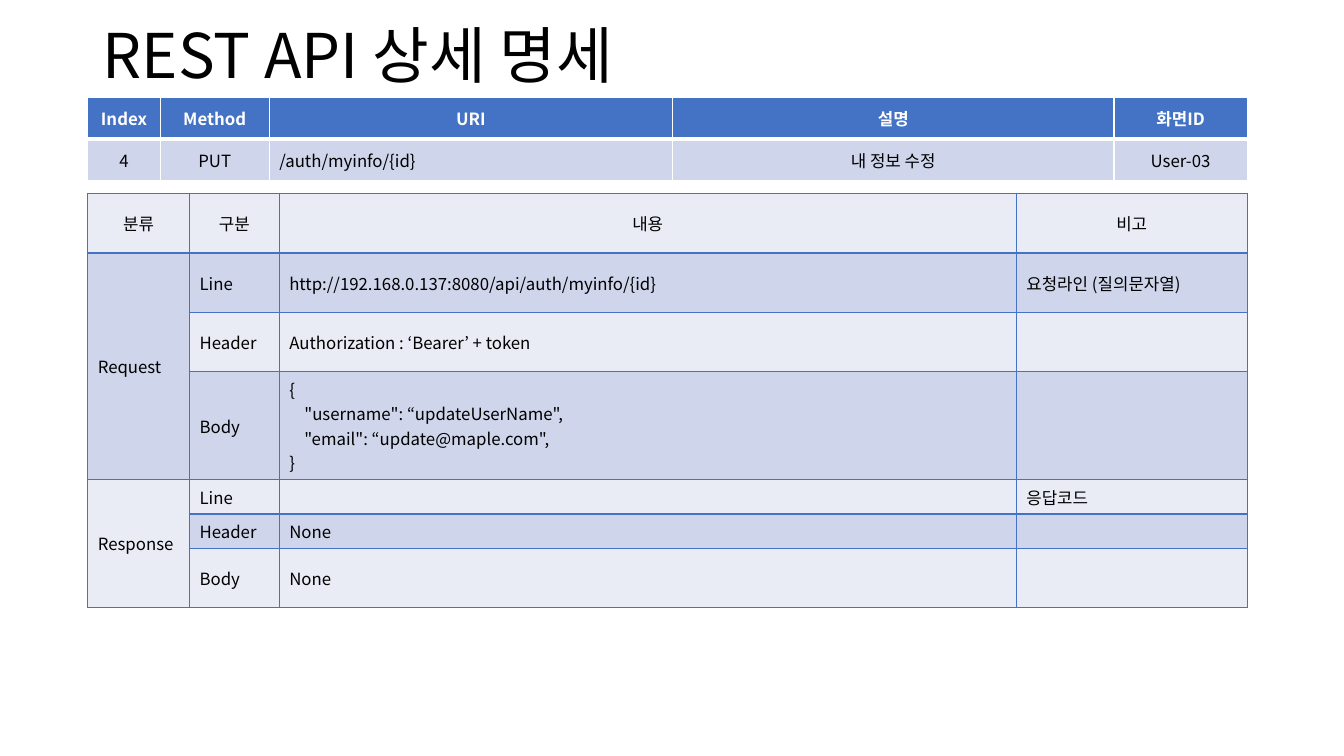
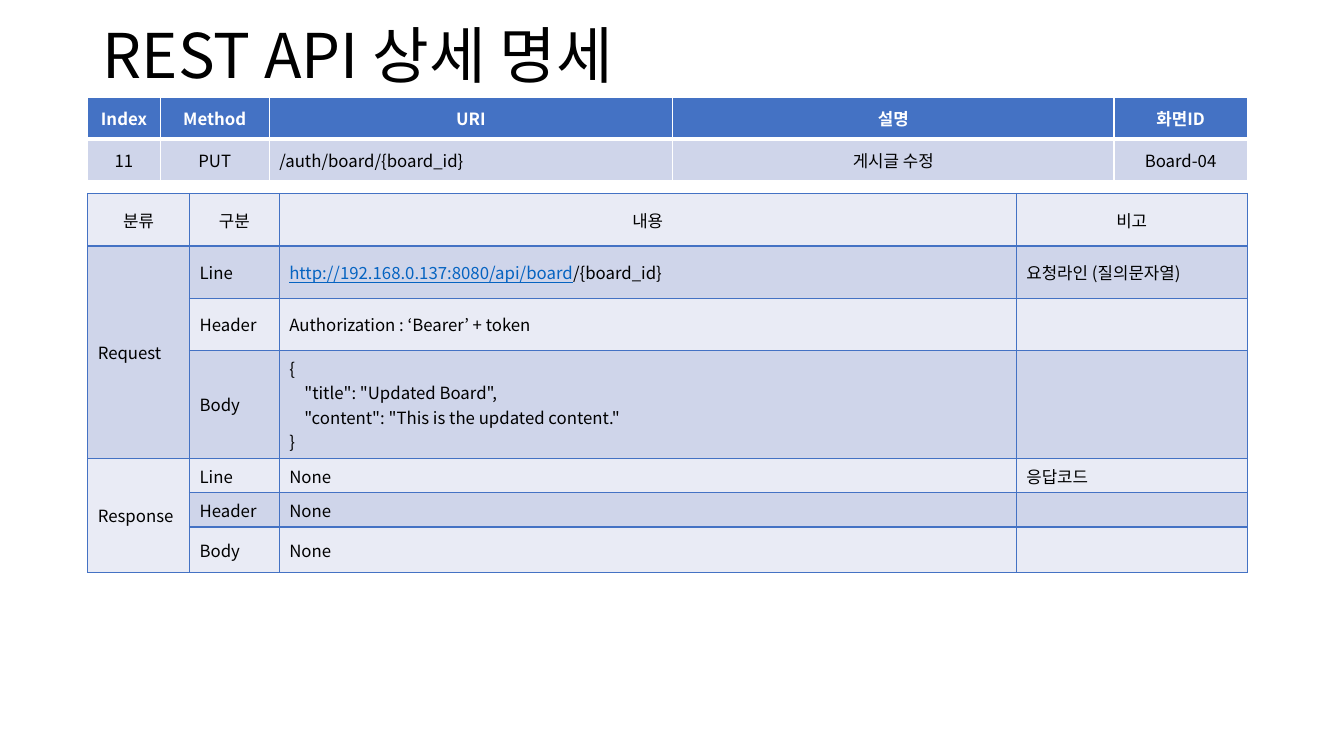
"""Builds two REST API specification slides, each with a summary and a detail table."""
from lxml import etree
from pptx import Presentation
from pptx.dml.color import RGBColor
from pptx.enum import text
from pptx.oxml import ns
from pptx.util import Inches, Pt

FONT = "Noto Sans CJK KR"
BLACK = RGBColor(0x00, 0x00, 0x00)
WHITE = RGBColor(0xFF, 0xFF, 0xFF)
BLUE = RGBColor(0x44, 0x72, 0xC4)
BAND_DARK = RGBColor(0xCF, 0xD5, 0xEA)
BAND_LIGHT = RGBColor(0xE9, 0xEB, 0xF5)
LINK = RGBColor(0x05, 0x63, 0xC1)

TITLE = "REST API 상세 명세"
LEFT, WIDTH = 0.87, 11.5
BODY_SIZE = 12
SUMMARY_COLUMNS = [0.72, 1.08, 4, 4.38, 1.32]
SUMMARY_HEAD = ["Index", "Method", "URI", "설명", "화면ID"]
SUMMARY_ROWS = [0.41, 0.41]
DETAIL_COLUMNS = [1.01, 0.89, 7.31, 2.29]
DETAIL_HEAD = ["분류", "구분", "내용", "비고"]
PARTS = ["Line", "Header", "Body"]
CENTER, START = text.PP_ALIGN.CENTER, text.PP_ALIGN.LEFT

ENDPOINTS = [
    {
        "summary": ["4", "PUT", "/auth/myinfo/{id}", "내 정보 수정", "User-03"],
        "request_line": [("http://192.168.0.137:8080/api/auth/myinfo/{id}", False)],
        "request_body": "{\n    \"username\": “updateUserName\",\n"
                        "    \"email\": “update@maple.com\",\n}",
        "response_line": "",
        "rows": [0.59, 0.59, 0.59, 1.07, 0.34, 0.34, 0.59],
    },
    {
        "summary": ["11", "PUT", "/auth/board/{board_id}", "게시글 수정", "Board-04"],
        "request_line": [("http://192.168.0.137:8080/api/board", True),
                         ("/{board_id}", False)],
        "request_body": "{\n    \"title\": \"Updated Board\",\n"
                        "    \"content\": \"This is the updated content.\"\n}",
        "response_line": "None",
        "rows": [0.52, 0.52, 0.52, 1.07, 0.34, 0.34, 0.45],
    },
]


def add_span(para, words, size, color=BLACK, bold=False, underline=False):
    span = para.add_run()
    span.text = words
    font = span.font
    font.name, font.size, font.bold = FONT, Pt(size), bold
    font.underline = underline
    font.color.rgb = color
    etree.SubElement(span._r.get_or_add_rPr(), ns.qn("a:ea"), typeface=FONT)


def add_title(page):
    box = page.shapes.add_textbox(Inches(0.92), Inches(-0.14), Inches(WIDTH), Inches(1.45))
    frame = box.text_frame
    frame.word_wrap = True
    frame.vertical_anchor = text.MSO_ANCHOR.MIDDLE
    para = frame.paragraphs[0]
    para.line_spacing = 0.9
    add_span(para, TITLE, 44)


def add_grid(page, top, columns, rows):
    frame = page.shapes.add_table(len(rows), len(columns), Inches(LEFT), Inches(top),
                                  Inches(WIDTH), Inches(sum(rows)))
    table = frame.table
    table.first_row = table.horz_banding = False
    for column, width in zip(table.columns, columns):
        column.width = Inches(width)
    for row, height in zip(table.rows, rows):
        row.height = Inches(height)
    return table


def set_borders(cell, color, top=1, bottom=1):
    properties = cell._tc.get_or_add_tcPr()
    sides = [("L", 1), ("R", 1), ("T", top), ("B", bottom)]
    for position, (side, width) in enumerate(sides):
        line = etree.Element(ns.qn(f"a:ln{side}"), w=str(Pt(width)))
        fill = etree.SubElement(line, ns.qn("a:solidFill"))
        etree.SubElement(fill, ns.qn("a:srgbClr"), val=str(color))
        properties.insert(position, line)


def fill_cell(cell, content, fill, align=START, color=BLACK, bold=False):
    cell.fill.solid()
    cell.fill.fore_color.rgb = fill
    cell.vertical_anchor = text.MSO_ANCHOR.MIDDLE
    frame = cell.text_frame
    lines = content.split("\n") if isinstance(content, str) else [content]
    for number, line in enumerate(lines):
        para = frame.add_paragraph() if number else frame.paragraphs[0]
        para.alignment = align
        if not line:
            etree.SubElement(para._p, ns.qn("a:endParaRPr"), sz=str(BODY_SIZE * 100))
            continue
        for words, linked in [(line, False)] if isinstance(line, str) else line:
            add_span(para, words, BODY_SIZE, LINK if linked else color, bold, linked)


def add_summary(page, values):
    table = add_grid(page, 0.97, SUMMARY_COLUMNS, SUMMARY_ROWS)
    for column, (heading, value) in enumerate(zip(SUMMARY_HEAD, values)):
        head, body = table.cell(0, column), table.cell(1, column)
        fill_cell(head, heading, BLUE, CENTER, WHITE, True)
        fill_cell(body, value, BAND_DARK, START if heading == "URI" else CENTER)
        set_borders(head, WHITE, bottom=3)
        set_borders(body, WHITE, top=3)


def add_detail(page, endpoint):
    contents = [endpoint["request_line"], "Authorization : ‘Bearer’ + token",
                endpoint["request_body"], endpoint["response_line"], "None", "None"]
    groups = ["Request", "", "", "Response", "", ""]
    notes = ["요청라인 (질의문자열)", "", "", "응답코드", "", ""]
    rows = [DETAIL_HEAD, *zip(groups, PARTS * 2, contents, notes)]
    table = add_grid(page, 1.92, DETAIL_COLUMNS, endpoint["rows"])
    for row, values in enumerate(rows):
        for column, value in enumerate(values):
            cell = table.cell(row, column)
            fill_cell(cell, value, BAND_DARK if row % 2 else BAND_LIGHT,
                      START if row else CENTER)
            set_borders(cell, BLUE)
    for first in (1, 4):
        anchor = table.cell(first, 0)
        anchor.merge(table.cell(first + len(PARTS) - 1, 0))


def main():
    deck = Presentation()
    deck.slide_width, deck.slide_height = Inches(13.33), Inches(7.5)
    for endpoint in ENDPOINTS:
        page = deck.slides.add_slide(deck.slide_layouts[6])
        add_title(page)
        add_summary(page, endpoint["summary"])
        add_detail(page, endpoint)
    deck.save("out.pptx")


if __name__ == "__main__":
    main()
